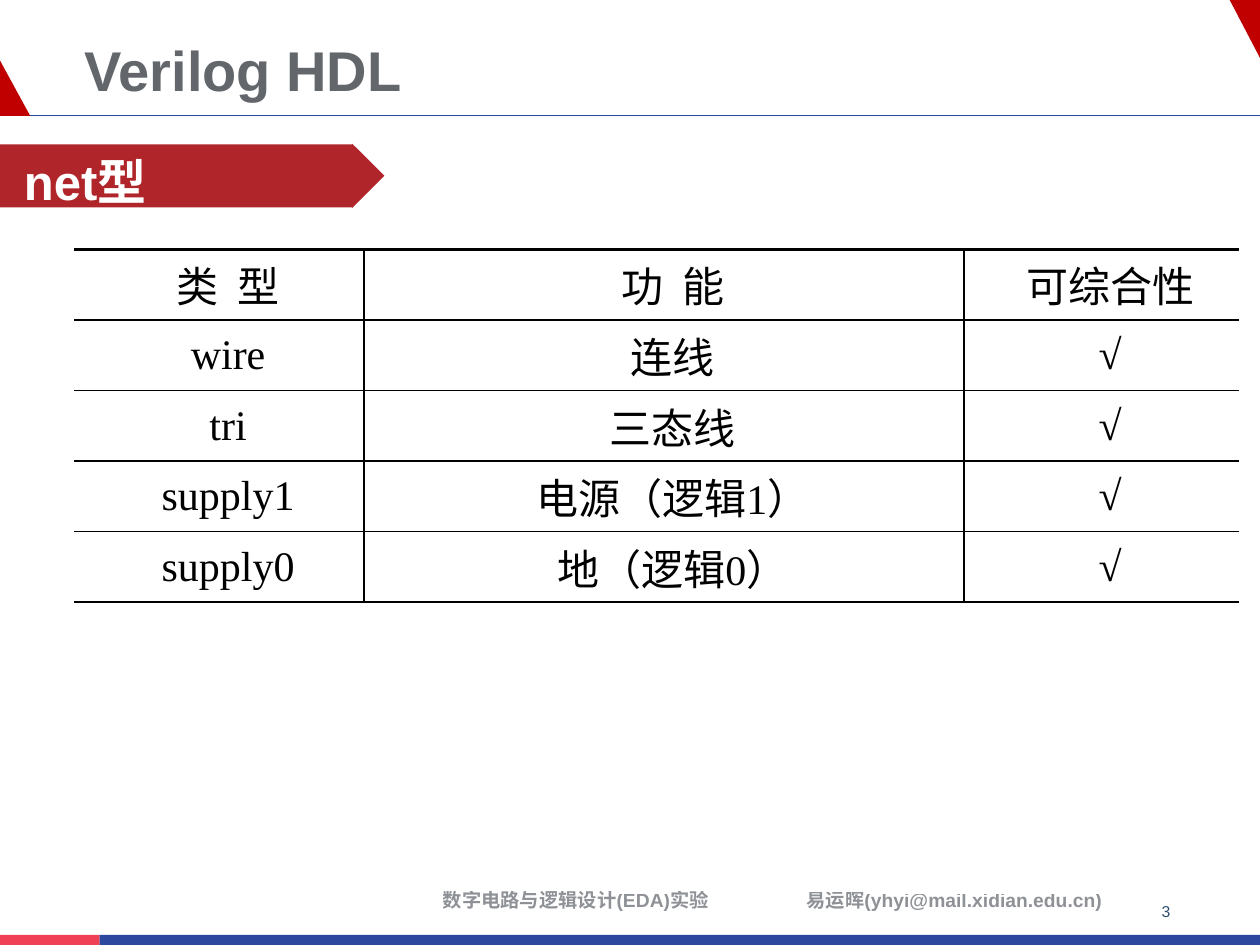
from lxml.etree import SubElement
from pptx import Presentation
from pptx.dml.color import RGBColor
from pptx.enum.shapes import MSO_CONNECTOR, MSO_SHAPE
from pptx.enum.text import MSO_ANCHOR, MSO_AUTO_SIZE, PP_ALIGN
from pptx.oxml import parse_xml
from pptx.oxml.ns import nsdecls, qn
from pptx.util import Inches, Pt

RED = RGBColor(0xC0, 0x00, 0x00)
BANNER_RED = RGBColor(0xB0, 0x25, 0x2A)
PINK = RGBColor(0xEF, 0x40, 0x56)
BLUE = RGBColor(0x2C, 0x47, 0x9E)
NUMBER_BLUE = RGBColor(0x30, 0x4F, 0x6F)
TITLE_GRAY = RGBColor(0x63, 0x67, 0x6C)
FOOTER_INK = RGBColor(0x1E, 0x24, 0x2E)
WHITE = RGBColor(0xFF, 0xFF, 0xFF)
BLACK = RGBColor(0x00, 0x00, 0x00)

NET_TYPES = [
    ("类  型", "功  能", "可综合性"),
    ("wire", "连线", "√"),
    ("tri", "三态线", "√"),
    ("supply1", "电源（逻辑1）", "√"),
    ("supply0", "地（逻辑0）", "√"),
]
COLUMN_WIDTHS = [2.3, 4.76, 2.18]
ROW_HEIGHT = 0.56


def paint(shape, color):
    shape.shadow.inherit = False
    shape.fill.solid()
    shape.fill.fore_color.rgb = color
    shape.line.fill.background()


def add_block(page, kind, left, top, width, height, color):
    block = page.shapes.add_shape(
        kind, Inches(left), Inches(top), Inches(width), Inches(height))
    paint(block, color)
    return block


def add_triangle(page, corners):
    start, *others = [(Inches(x), Inches(y)) for x, y in corners]
    builder = page.shapes.build_freeform(*start)
    builder.add_line_segments(others, close=True)
    paint(builder.convert_to_shape(), RED)


def add_rule(page, top):
    rule = page.shapes.add_connector(
        MSO_CONNECTOR.STRAIGHT, 0, Inches(top), Inches(10), Inches(top))
    rule.line.color.rgb = BLUE
    rule.line.width = Pt(0.5)
    SubElement(rule._element.spPr, qn("a:effectLst"))


def add_span(paragraph, text, size, color, bold=False, font="Arial"):
    span = paragraph.add_run()
    span.text = text
    span.font.name = font
    span.font.size = Pt(size)
    span.font.bold = bold
    span.font.color.rgb = color
    return span


def prepare_frame(box, align):
    """Centre the frame vertically without margins and return its paragraph."""
    frame = box.text_frame
    frame.word_wrap = True
    frame.auto_size = MSO_AUTO_SIZE.NONE
    frame.vertical_anchor = MSO_ANCHOR.MIDDLE
    frame.margin_left = frame.margin_right = 0
    frame.margin_top = frame.margin_bottom = 0
    paragraph = frame.paragraphs[0]
    paragraph.alignment = align
    return paragraph


def add_label(page, left, top, width, height, align=PP_ALIGN.CENTER):
    box = page.shapes.add_textbox(
        Inches(left), Inches(top), Inches(width), Inches(height))
    return prepare_frame(box, align)


def add_footer(page, left, width, parts):
    paragraph = add_label(page, left, 6.92, width, 0.45)
    for part in parts:
        span = add_span(paragraph, part, 11, FOOTER_INK, bold=True)
        color = span._r.rPr.find(".//" + qn("a:srgbClr"))
        SubElement(color, qn("a:alpha"), val="50000")


def fill_title(page):
    title = page.shapes.title
    title.left, title.top = Inches(0.67), Inches(0.2)
    title.width, title.height = Inches(7.3), Inches(0.65)
    paragraph = prepare_frame(title, PP_ALIGN.LEFT)
    paragraph.line_spacing = Pt(42)
    add_span(paragraph, "Verilog HDL", 32, TITLE_GRAY, bold=True)


def add_banner(page, text):
    arrow = add_block(page, MSO_SHAPE.RIGHT_ARROW, 0, 1.14, 3.05, 0.51, BANNER_RED)
    arrow.adjustments[0] = 0.98
    arrow.adjustments[1] = 0.5
    paragraph = add_label(page, 0.19, 1.05, 7.3, 0.65, PP_ALIGN.LEFT)
    paragraph.line_spacing = Pt(42)
    add_span(paragraph, text, 28, WHITE, bold=True)


def set_borders(cell, widths):
    """Draw left, right, top and bottom borders; a width of 0 means no line."""
    properties = cell._tc.get_or_add_tcPr()
    for place, (side, width) in enumerate(zip("LRTB", widths)):
        paint_xml = (f'<a:solidFill><a:srgbClr val="{BLACK}"/></a:solidFill>'
                     if width else "<a:noFill/>")
        properties.insert(place, parse_xml(
            f'<a:ln{side} {nsdecls("a")} w="{Pt(width)}">{paint_xml}</a:ln{side}>'))


def fill_cell(cell, text):
    cell.fill.background()
    cell.vertical_anchor = MSO_ANCHOR.MIDDLE
    cell.margin_left = cell.margin_right = Inches(0.06)
    cell.margin_top = cell.margin_bottom = 0
    paragraph = cell.text_frame.paragraphs[0]
    paragraph.alignment = PP_ALIGN.CENTER
    paragraph._p.get_or_add_pPr().set("indent", str(Inches(0.14)))
    add_span(paragraph, text, 24, BLACK, font="Times New Roman")


def add_type_table(page):
    row_count, column_count = len(NET_TYPES), len(COLUMN_WIDTHS)
    table = page.shapes.add_table(
        row_count, column_count, Inches(0.59), Inches(1.98),
        Inches(sum(COLUMN_WIDTHS)), Inches(ROW_HEIGHT * row_count)).table
    table.first_row = table.horz_banding = False
    for column, width in zip(table.columns, COLUMN_WIDTHS):
        column.width = Inches(width)
    for r, texts in enumerate(NET_TYPES):
        table.rows[r].height = Inches(ROW_HEIGHT)
        for c, text in enumerate(texts):
            cell = table.cell(r, c)
            fill_cell(cell, text)
            left = 1 if c > 0 else 0
            right = 1 if c < column_count - 1 else 0
            set_borders(cell, (left, right, 1.5 if r == 0 else 1, 1))


def main():
    deck = Presentation()
    deck.slide_width, deck.slide_height = Inches(10), Inches(7.5)
    page = deck.slides.add_slide(deck.slide_layouts[5])

    add_triangle(page, [(9.76, 0), (10, 0), (10, 0.46)])
    add_block(page, MSO_SHAPE.RECTANGLE, 0, 7.42, 0.79, 0.08, PINK)
    add_block(page, MSO_SHAPE.RECTANGLE, 0.79, 7.42, 9.21, 0.08, BLUE)
    add_rule(page, 0.92)
    add_triangle(page, [(0.24, 0.92), (0, 0.92), (0, 0.48)])
    fill_title(page)
    add_banner(page, "net型")
    add_type_table(page)

    add_footer(page, 3.11, 2.92, ["数字电路与逻辑设计", "(EDA)", "实验"])
    add_footer(page, 6.2, 2.75, ["易运晖", "(yhyi@mail.xidian.edu.cn)"])
    add_span(add_label(page, 9.02, 6.96, 0.47, 0.54), "3", 9, NUMBER_BLUE)

    deck.save("out.pptx")


if __name__ == "__main__":
    main()
